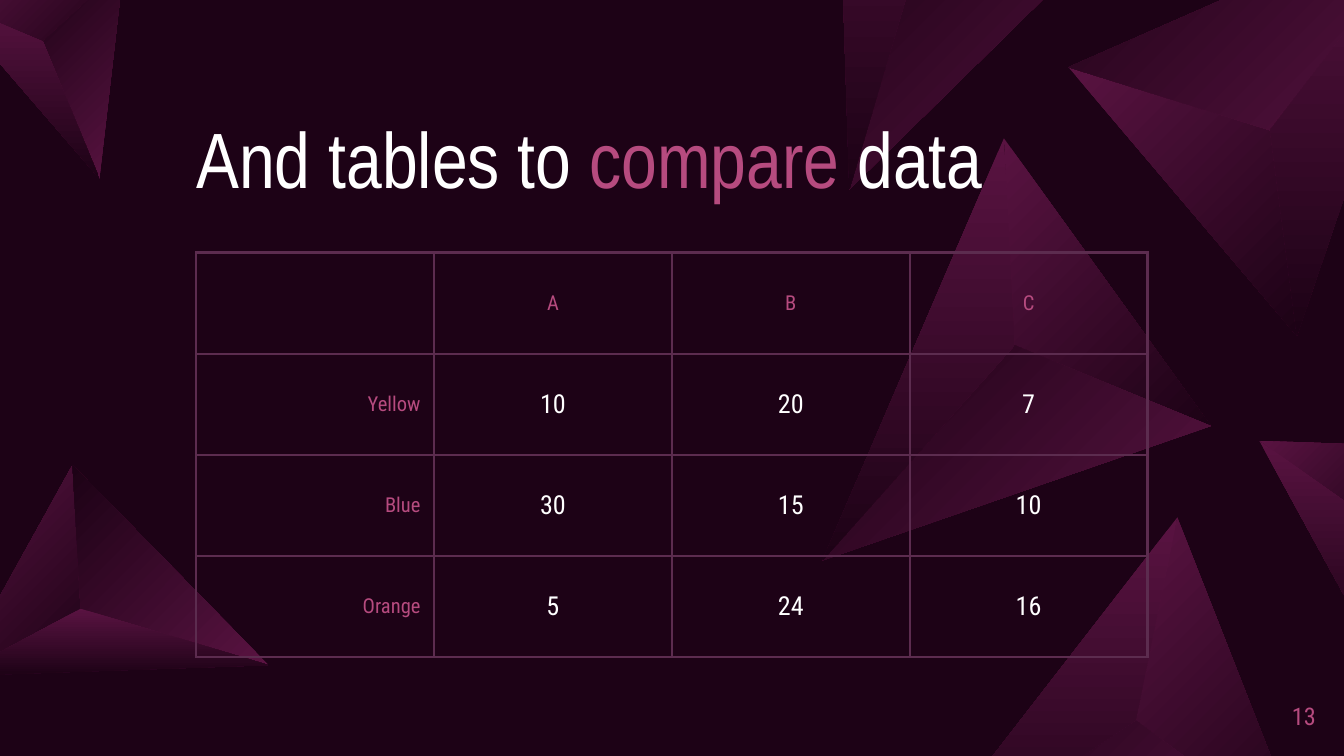
from lxml import etree
from pptx import Presentation
from pptx import util as u
from pptx.dml.color import RGBColor
from pptx.enum import text
from pptx.oxml import ns

SLIDE_WIDTH = 10
SLIDE_HEIGHT = SLIDE_WIDTH * 9 / 16
COLORS = {"bg": "1D0216", "glow": "591341", "accent": "B64B7F",
          "white": "FFFFFF", "border": "5C2C4F"}
TITLE_FONT, BODY_FONT = "Arial Narrow", "Roboto Condensed"
FACE_ANGLES = (315, 135, 270)

# Each pyramid: three corners, then the peak where its faces meet
PYRAMIDS = [
    ((9.65, 2.5), (7.95, 0.5), (10.75, -0.73), (9.45, 0.97)),
    ((-0.33, 5.03), (0.54, 3.46), (2, 4.95), (0.6, 4.53)),
    ((7.47, 1.03), (9.01, 3.17), (6.12, 4.17), (7.55, 2.57)),
    ((8.76, 3.85), (9.72, 6.3), (6.67, 6.55), (8.45, 5.36)),
    ((9.37, 3.28), (10.73, 3.33), (10.22, 4.83), (10.02, 3.74)),
    ((6.21, -2), (8.51, -0.74), (6.32, 1.41), (6.93, -0.65)),
    ((-0.41, 0), (0.92, -0.24), (0.74, 1.33), (0.32, 0.31)),
]

ROWS = [("", "A", "B", "C"),
        ("Yellow", "10", "20", "7"),
        ("Blue", "30", "15", "10"),
        ("Orange", "5", "24", "16")]


def rgb(name):
    return RGBColor.from_string(COLORS[name])


def add_run(p, words, size, font, color):
    r = p.add_run()
    r.text = words
    for key, value in {"size": u.Pt(size), "name": font, "bold": False}.items():
        setattr(r.font, key, value)
    r.font.color.rgb = rgb(color)


def format_frame(tf, anchor):
    settings = {"word_wrap": True, "auto_size": text.MSO_AUTO_SIZE.NONE,
                "vertical_anchor": anchor, "margin_left": 0, "margin_right": 0,
                "margin_top": 0, "margin_bottom": 0}
    for key, value in settings.items():
        setattr(tf, key, value)


def is_on_slide(points):
    xs, ys = zip(*points)
    return (min(xs) < SLIDE_WIDTH and max(xs) > 0
            and min(ys) < SLIDE_HEIGHT and max(ys) > 0)


def add_pyramid(s, first, second, third, peak):
    """Draw those of the three shaded faces that reach the slide."""
    faces = [(first, second, peak), (second, third, peak), (first, peak, third)]
    for points, angle in zip(faces, FACE_ANGLES):
        if not is_on_slide(points):
            continue
        start, *rest = [(u.Inches(x), u.Inches(y)) for x, y in points]
        builder = s.shapes.build_freeform(*start)
        builder.add_line_segments(rest, close=True)
        sp = builder.convert_to_shape()
        sp.shadow.inherit = False
        sp.line.fill.background()
        sp.fill.gradient()
        sp.fill.gradient_angle = angle
        for stop, position, color in zip(sp.fill.gradient_stops, (0, 1), ("glow", "bg")):
            stop.position = position
            stop.color.rgb = rgb(color)


def add_title(s, left, top, width, height):
    sp = s.shapes.title
    box = {"left": left, "top": top, "width": width, "height": height}
    for key, value in box.items():
        setattr(sp, key, u.Inches(value))
    format_frame(sp.text_frame, text.MSO_ANCHOR.BOTTOM)
    p = sp.text_frame.paragraphs[0]
    p.alignment = text.PP_ALIGN.LEFT
    p.line_spacing = 0.9
    for words, color in (("And tables to ", "white"), ("compare", "accent"),
                         (" data", "white")):
        add_run(p, words, 42, TITLE_FONT, color)


def add_borders(cell):
    tc_pr = cell._tc.get_or_add_tcPr()
    for side in ("lnL", "lnR", "lnT", "lnB"):
        line = etree.SubElement(tc_pr, ns.qn("a:" + side), w=str(u.Pt(1.5)))
        fill = etree.SubElement(line, ns.qn("a:solidFill"))
        etree.SubElement(fill, ns.qn("a:srgbClr"), val=COLORS["border"])


def add_data_table(s, left, top, width, height):
    box = [u.Inches(v) for v in (left, top, width, height)]
    table = s.shapes.add_table(len(ROWS), len(ROWS[0]), *box).table
    table.first_row = table.horz_banding = False
    settings = {"vertical_anchor": text.MSO_ANCHOR.MIDDLE,
                "margin_left": u.Inches(0.1), "margin_right": u.Inches(0.1),
                "margin_top": u.Inches(0.07), "margin_bottom": u.Inches(0.07)}
    for i, row in enumerate(ROWS):
        for j, words in enumerate(row):
            cell = table.cell(i, j)
            add_borders(cell)
            cell.fill.background()
            for key, value in settings.items():
                setattr(cell, key, value)
            if not words:
                continue
            p = cell.text_frame.paragraphs[0]
            p.alignment = text.PP_ALIGN.CENTER if j else text.PP_ALIGN.RIGHT
            size, color = (14, "white") if i and j else (11, "accent")
            add_run(p, words, size, BODY_FONT, color)


def add_slide_number(s, left, top, width, height):
    sp = s.shapes.add_textbox(*[u.Inches(v) for v in (left, top, width, height)])
    format_frame(sp.text_frame, text.MSO_ANCHOR.MIDDLE)
    p = sp.text_frame.paragraphs[0]
    p.alignment = text.PP_ALIGN.RIGHT
    add_run(p, "13", 13, BODY_FONT, "accent")


def main():
    prs = Presentation()
    prs.slide_width, prs.slide_height = u.Inches(SLIDE_WIDTH), u.Inches(SLIDE_HEIGHT)
    s = prs.slides.add_slide(prs.slide_layouts.get_by_name("Title Only"))
    s.background.fill.solid()
    s.background.fill.fore_color.rgb = rgb("bg")
    for corners in PYRAMIDS:
        add_pyramid(s, *corners)
    # The title placeholder comes first; bring it in front of the pyramids
    s.shapes._spTree.append(s.shapes.title._element)
    add_title(s, 1.46, 0.88, 7.08, 0.65)
    add_data_table(s, 1.46, 1.88, 7.08, 3.01)
    add_slide_number(s, 9.35, 5.11, 0.44, 0.43)
    prs.save("out.pptx")


if __name__ == "__main__":
    main()
